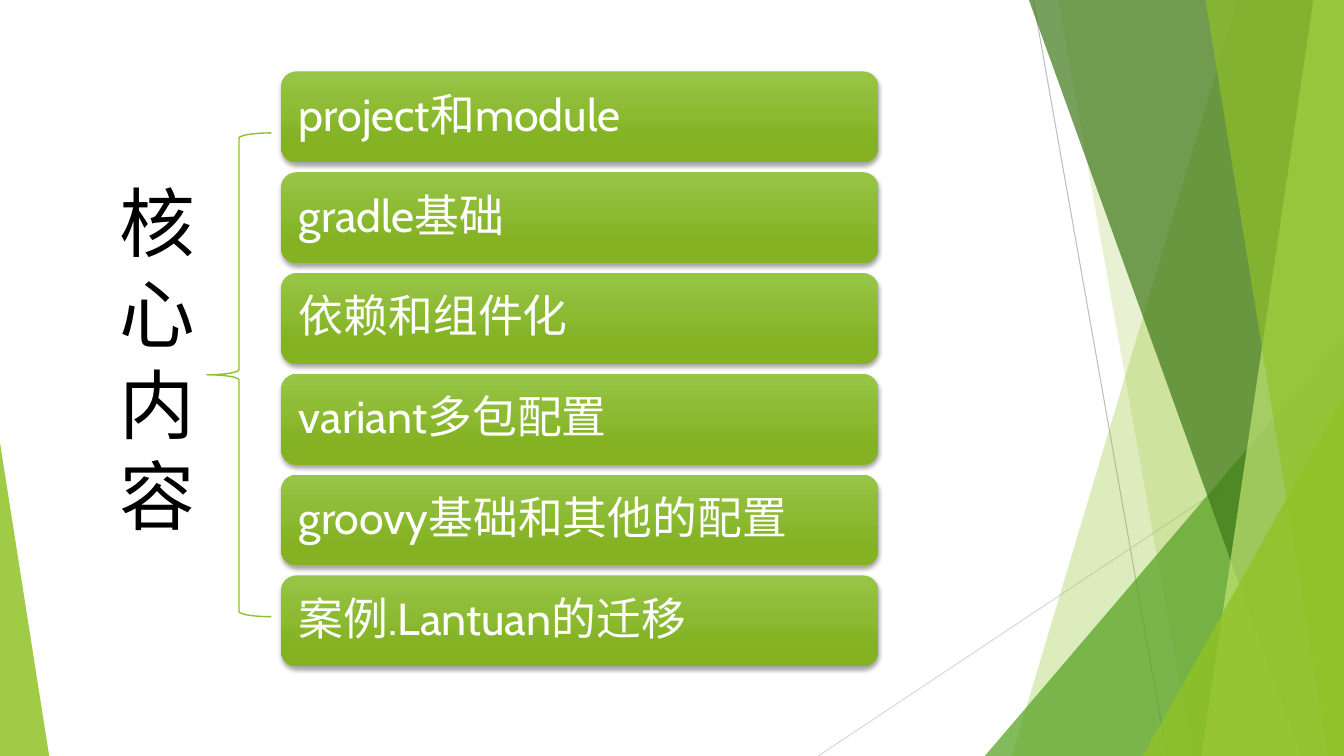
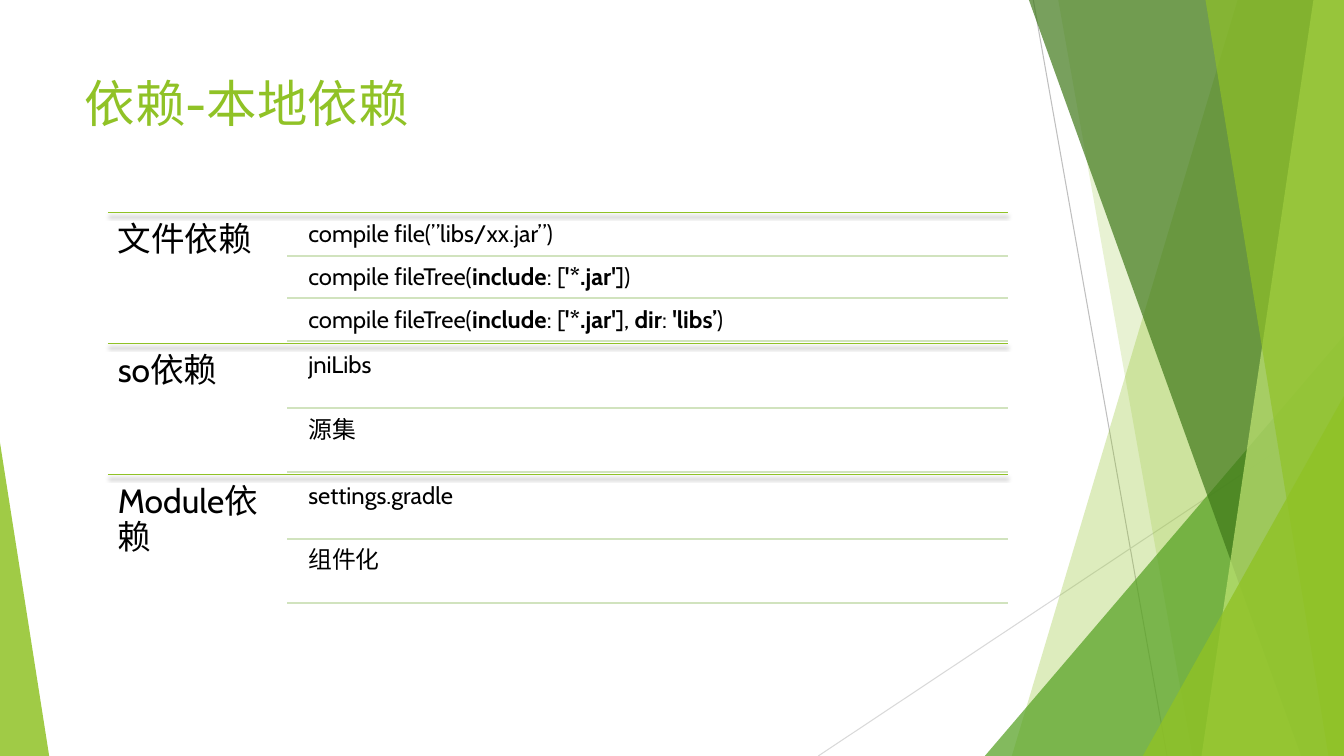
from lxml import etree
from pptx import Presentation
from pptx.dml.color import RGBColor
from pptx.enum.shapes import MSO_CONNECTOR, MSO_SHAPE
from pptx.enum.text import MSO_ANCHOR, MSO_AUTO_SIZE, PP_ALIGN
from pptx.oxml import parse_xml
from pptx.oxml.ns import nsdecls, qn
from pptx.util import Cm, Pt

STRAIGHT = MSO_CONNECTOR.STRAIGHT
TRIANGLE = MSO_SHAPE.RIGHT_TRIANGLE
TRIANGLE = MSO_SHAPE.ISOSCELES_TRIANGLE
ROUNDED = MSO_SHAPE.ROUNDED_RECTANGLE
BRACE = MSO_SHAPE.LEFT_BRACE
TOP, MIDDLE = MSO_ANCHOR.TOP, MSO_ANCHOR.MIDDLE
LEFT = PP_ALIGN.LEFT
NO_FIT = MSO_AUTO_SIZE.NONE

FONT = "Cabin"
GREEN, PALE, BLACK, WHITE = "90C226", "D1E3BE", "000000", "FFFFFF"
WIDE, HIGH = 33.87, 19.05
SHADOW = (
    f'<a:outerShdw {nsdecls("a")} blurRad="38100" dist="25400" dir="5400000" '
    'rotWithShape="0"><a:srgbClr val="000000"><a:alpha val="35000"/></a:srgbClr>'
    "</a:outerShdw>"
)
rgb = RGBColor.from_string


def draw_line(slide, ends, color, width, shaded=False):
    line = slide.shapes.add_connector(STRAIGHT, *[Cm(v) for v in ends])
    line.line.color.rgb = rgb(color)
    line.line.width = Pt(width)
    effects = etree.SubElement(line.element.spPr, qn("a:effectLst"))
    if shaded:
        effects.append(parse_xml(SHADOW))
    return line


def write(frame, text, size, color, pad=None, space=None):
    """Fill a text frame; parts between bars (|) are bold."""
    frame.word_wrap = True
    para = frame.paragraphs[0]
    para.alignment = LEFT
    para.line_spacing = space
    for n, part in enumerate(text.split("|")):
        run = para.add_run()
        run.text = part
        run.font.name = FONT
        run.font.size = Pt(size)
        run.font.bold = n % 2 == 1
        run.font.color.rgb = rgb(color)
    if pad is not None:
        frame.margin_left = frame.margin_right = Cm(pad)
        frame.margin_top = frame.margin_bottom = Cm(pad)


deck = Presentation()
deck.slide_width, deck.slide_height = Cm(WIDE), Cm(HIGH)
core = deck.slides.add_slide(deck.slide_layouts[6])

# Shared backdrop: drawn once, then moved to the slide master
backdrop = [
    draw_line(core, (26.04, 0, 29.41, HIGH), "BFBFBF", 0.75),
    draw_line(core, (WIDE, 10.24, 20.62, HIGH), "D9D9D9", 0.75),
]
# Bands run to the right edge: x at the top, x at the foot.
# Triangles stand on the foot: left, top, width, tip.
for kind, place, color, alpha in [
    ("band", (31.19, 25.5), GREEN, 30),
    ("band", (26.67, 30.05), GREEN, 20),
    ("peak", (24.82, 8.46, 9.05, 1), "54A021", 72),
    ("band", (25.93, 32.79), "3F7819", 70),
    ("band", (33.1, 30.28), "C0E474", 70),
    ("band", (30.38, 33.48), GREEN, 65),
    ("peak", (28.8, 9.98, 5.07, 1), GREEN, 80),
    ("peak", (0, 11.15, 1.24, 0), GREEN, 85),
]:
    if kind == "band":
        head, foot = place
        path = core.shapes.build_freeform(Cm(head), 0)
        path.add_line_segments(
            [(Cm(WIDE), 0), (Cm(WIDE), Cm(HIGH)), (Cm(foot), Cm(HIGH))]
        )
        shape = path.convert_to_shape()
    else:
        left, top, width, tip = place
        shape = core.shapes.add_shape(
            TRIANGLE, Cm(left), Cm(top), Cm(width), Cm(HIGH - top)
        )
        shape.adjustments[0] = tip
    shape.fill.solid()
    shape.fill.fore_color.rgb = rgb(color)
    tint = shape.element.spPr.find(qn("a:solidFill"))[0]
    etree.SubElement(tint, qn("a:alpha")).set("val", str(alpha * 1000))
    shape.line.fill.background()
    shape.shadow.inherit = False
    backdrop.append(shape)

tree = deck.slide_master.shapes.element
for n, shape in enumerate(backdrop):
    shape.element.xpath("./*/p:cNvPr")[0].set("id", str(20 + n))
    tree.insert(2 + n, shape.element)

# Slide 1: core topics
topics = [
    "project和module",
    "gradle基础",
    "依赖和组件化",
    "variant多包配置",
    "groovy基础和其他的配置",
    "案例.Lantuan的迁移",
]
for n, topic in enumerate(topics):
    bar = core.shapes.add_shape(
        ROUNDED, Cm(7.09), Cm(1.8 + 2.54 * n), Cm(15.04), Cm(2.29)
    )
    bar.fill.gradient()
    bar.fill.gradient_angle = 270
    for stop, color, spot in zip(
        bar.fill.gradient_stops, ("97C547", "84B223"), (0, 0.78)
    ):
        stop.color.rgb = rgb(color)
        stop.position = spot
    bar.line.fill.background()
    bar.shadow.inherit = False
    bar.element.spPr.find(qn("a:effectLst")).append(parse_xml(SHADOW))
    bar.text_frame.vertical_anchor = MIDDLE
    write(bar.text_frame, topic, 32, WHITE, 0.33, 0.9)

side = core.shapes.add_textbox(Cm(2.77), Cm(4.32), Cm(3.23), Cm(9.5))
write(side.text_frame, "核心内容", 54, BLACK)

brace = core.shapes.add_shape(BRACE, Cm(5.21), Cm(3.35), Cm(1.63), Cm(12.19))
brace.adjustments[0], brace.adjustments[1] = 0.08, 0.5
brace.fill.background()
brace.line.color.rgb = rgb(GREEN)
brace.line.width = Pt(1)
brace.shadow.inherit = False

# Slide 2: local dependencies
local = deck.slides.add_slide(deck.slide_layouts[5])
title = local.shapes.title
title.left, title.top, title.width, title.height = (
    Cm(1.88), Cm(1.7), Cm(23.88), Cm(3.66)
)
title.text_frame.vertical_anchor = TOP
title.text_frame.auto_size = NO_FIT
write(title.text_frame, "依赖-本地依赖", 36, GREEN)

groups = [
    ("文件依赖", [
        "compile file(”libs/xx.jar”)",
        "compile fileTree(|include|: [|'*.jar'|])",
        "compile fileTree(|include|: [|'*.jar'|], |dir|: |'libs’|)",
    ]),
    ("so依赖", ["jniLibs", "源集"]),
    ("Module依赖", ["settings.gradle", "组件化"]),
]
EDGE, END, STEP = 2.72, 25.4, 3.3
for n, (label, items) in enumerate(groups):
    top = 5.36 + STEP * n
    draw_line(local, (EDGE, top, END, top), GREEN, 1, shaded=True)
    box = local.shapes.add_textbox(Cm(EDGE), Cm(top), Cm(4.55), Cm(STEP))
    write(box.text_frame, label, 24, BLACK, 0.25, 0.9)
    pitch = 3.24 / len(items)
    for k, item in enumerate(items):
        y = top + pitch * k
        box = local.shapes.add_textbox(
            Cm(7.59), Cm(y + 0.06), Cm(17.83), Cm(pitch - 0.06)
        )
        write(box.text_frame, item, 17, BLACK, 0.18, 0.9)
        draw_line(local, (7.24, y + pitch, END, y + pitch), PALE, 1.5)

deck.save("out.pptx")
